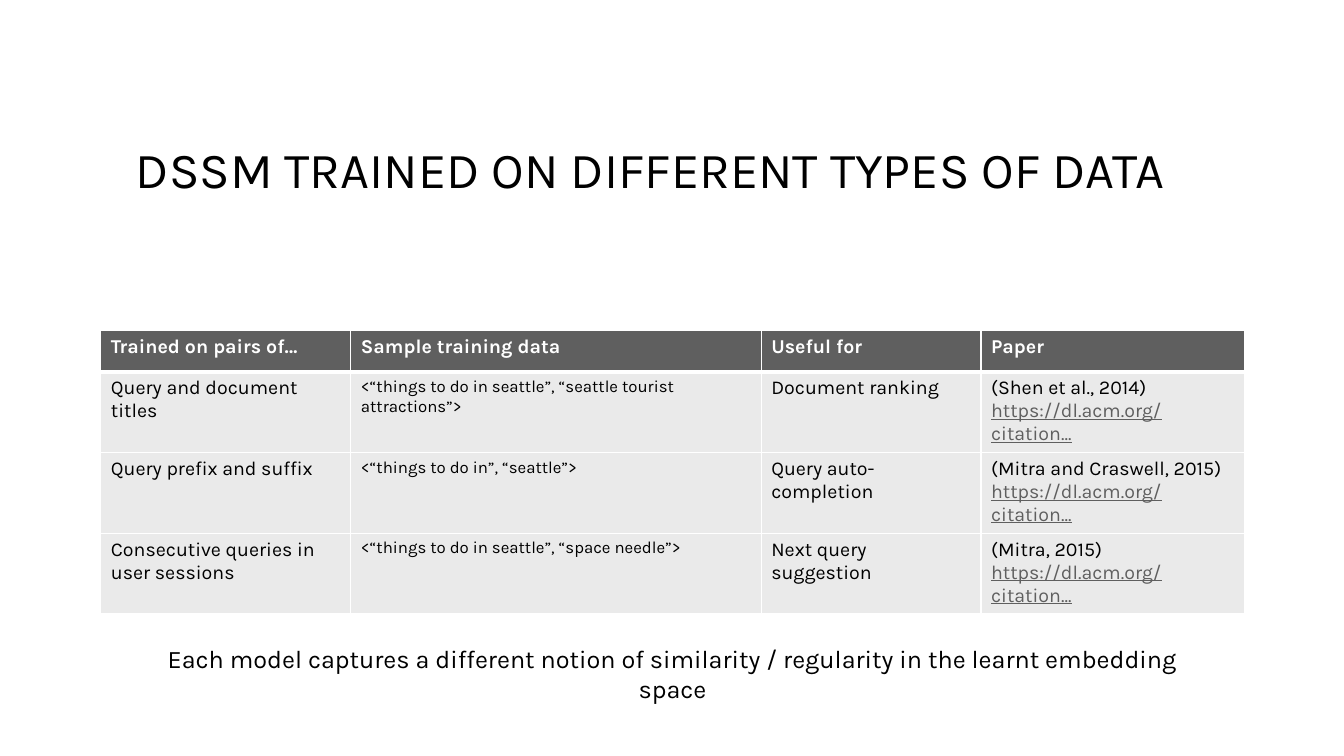
import pptx
import pptx.dml.color
import pptx.enum.text
import pptx.oxml
import pptx.oxml.ns
import pptx.util
from pptx.util import Inches

BLACK, WHITE, GREY, PALE = "000000", "FFFFFF", "5F5F5F", "EAEAEA"
PAPER_LINK = "https://dl.acm.org/citation..."


def add_span(para, text, size, color=BLACK, bold=False, underline=False):
    span = para.add_run()
    span.text = text
    span.font.name = "Karla"
    span.font.size = pptx.util.Pt(size)
    span.font.bold = bold
    span.font.underline = underline
    span.font.color.rgb = pptx.dml.color.RGBColor.from_string(color)


def add_border(cell, side, points):
    """Draw one white cell edge; side is L, R, T or B."""
    cell._tc.get_or_add_tcPr().append(pptx.oxml.parse_xml(
        f'<a:ln{side} {pptx.oxml.ns.nsdecls("a")} w="{pptx.util.Pt(points)}">'
        f'<a:solidFill><a:srgbClr val="{WHITE}"/></a:solidFill></a:ln{side}>'))


deck = pptx.Presentation()
deck.slide_width, deck.slide_height = Inches(13.33), Inches(7.5)
page = deck.slides.add_slide(deck.slide_layouts[6])

title = page.shapes.add_textbox(Inches(1.25), Inches(0.67), Inches(10.83), Inches(2.08))
title.text_frame.word_wrap = True
title.text_frame.vertical_anchor = pptx.enum.text.MSO_ANCHOR.MIDDLE
title_para = title.text_frame.paragraphs[0]
title_para.line_spacing = 0.9
add_span(title_para, "DSSM TRAINED ON DIFFERENT TYPES OF DATA", 36)

# Each cell is a list of paragraphs
header = [["Trained on pairs of…"], ["Sample training data"], ["Useful for"], ["Paper"]]
models = [
    [["Query and document titles"],
     ["<“things to do in seattle”, “seattle tourist attractions”>"],
     ["Document ranking"], ["(Shen et al., 2014)", PAPER_LINK]],
    [["Query prefix and suffix"], ["<“things to do in”, “seattle”>"],
     ["Query auto-completion"], ["(Mitra and Craswell, 2015)", PAPER_LINK]],
    [["Consecutive queries in user sessions"],
     ["<“things to do in seattle”, “space needle”>"],
     ["Next query suggestion"], ["(Mitra, 2015)", PAPER_LINK]],
]
rows = [header] + models
column_widths = [2.48, 4.07, 2.18, 2.61]
row_heights = [0.41] + [0.78] * len(models)

table = page.shapes.add_table(
    len(rows), len(column_widths), Inches(1), Inches(3.28),
    Inches(sum(column_widths)), Inches(sum(row_heights))).table
table.horz_banding = False
for column, width in zip(table.columns, column_widths):
    column.width = Inches(width)
for row, height in zip(table.rows, row_heights):
    row.height = Inches(height)

for row_index, row in enumerate(rows):
    is_header = row_index == 0
    for column_index, lines in enumerate(row):
        cell = table.cell(row_index, column_index)
        for side in "LRTB":
            under_header = (is_header and side == "B") or (row_index == 1 and side == "T")
            add_border(cell, side, 3 if under_header else 1)
        cell.fill.solid()
        cell.fill.fore_color.rgb = pptx.dml.color.RGBColor.from_string(
            GREY if is_header else PALE)
        size = 12 if column_index == 1 and not is_header else 14
        for line_index, line in enumerate(lines):
            frame = cell.text_frame
            para = frame.add_paragraph() if line_index else frame.paragraphs[0]
            is_link = line == PAPER_LINK
            color = WHITE if is_header else GREY if is_link else BLACK
            add_span(para, line, size, color, bold=is_header, underline=is_link)

caption = page.shapes.add_textbox(Inches(1.55), Inches(6.33), Inches(10.24), Inches(0.4))
caption.text_frame.word_wrap = True
caption.text_frame.auto_size = pptx.enum.text.MSO_AUTO_SIZE.SHAPE_TO_FIT_TEXT
caption_para = caption.text_frame.paragraphs[0]
caption_para.alignment = pptx.enum.text.PP_ALIGN.CENTER
add_span(caption_para, "Each model captures a different notion of similarity / "
         "regularity in the learnt embedding space", 18)

deck.save("out.pptx")
